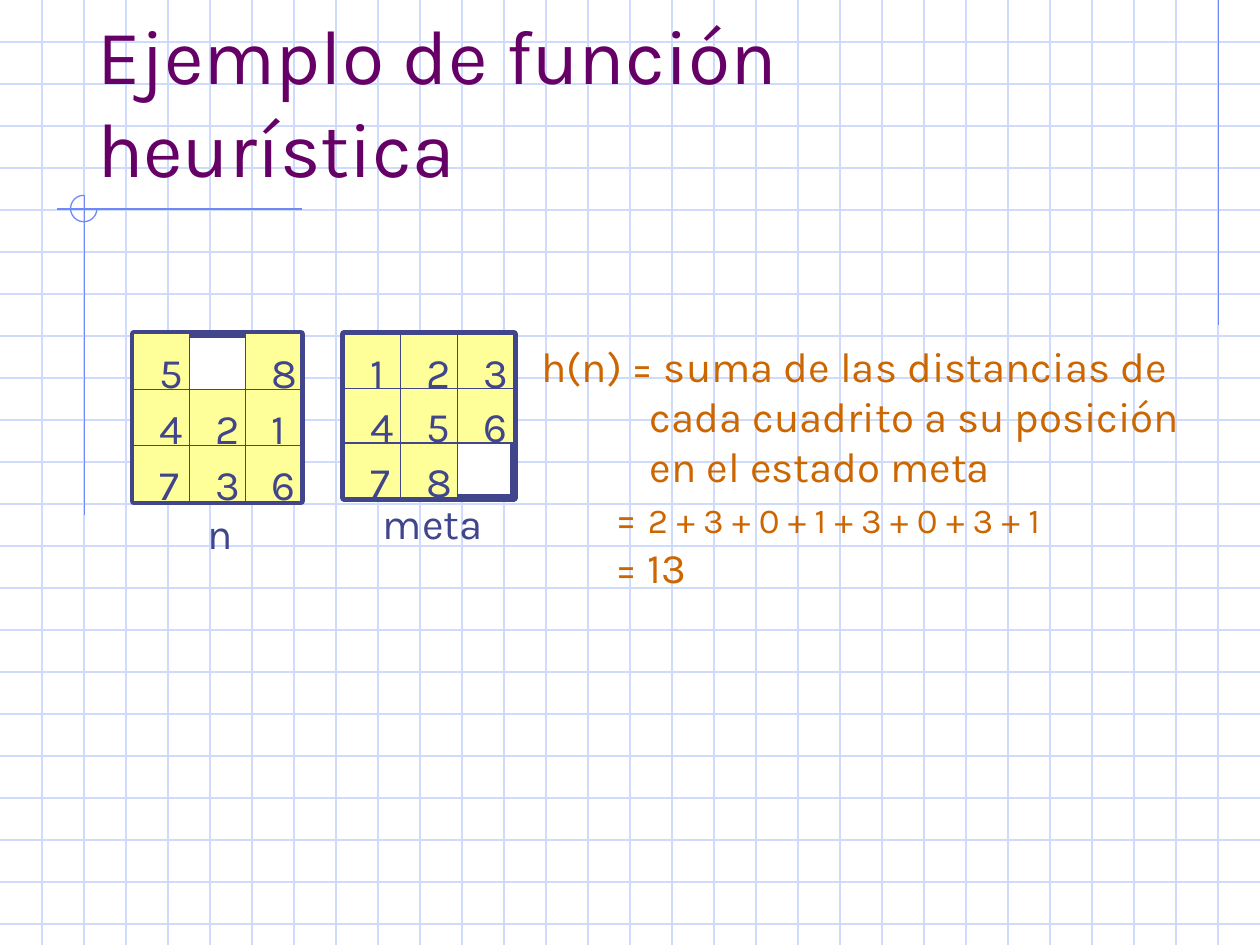
from lxml.etree import SubElement
from pptx import Presentation
from pptx.dml.color import RGBColor
from pptx.enum.shapes import MSO_CONNECTOR, MSO_SHAPE
from pptx.enum.text import MSO_ANCHOR, MSO_AUTO_SIZE, PP_ALIGN
from pptx.oxml.ns import qn
from pptx.util import Inches, Pt

FONT = "Karla"
GRID, ACCENT = "CFDBFD", "6F89F7"
PURPLE, NAVY, ORANGE = "660066", "40458C", "CC6600"
YELLOW, WHITE = "FFFF99", "FFFFFF"


def color(value):
    return RGBColor.from_string(value)


def add_line(shapes, x1, y1, x2, y2, line):
    cn = shapes.add_connector(MSO_CONNECTOR.STRAIGHT, Inches(x1), Inches(y1), Inches(x2), Inches(y2))
    cn.line.color.rgb = color(line)
    cn.line.width = Pt(0.75)
    SubElement(cn._element.spPr, qn("a:effectLst"))


def add_outline(shapes, kind, x, y, w, h, line, weight=0.75, fill=None):
    sp = shapes.add_shape(kind, Inches(x), Inches(y), Inches(w), Inches(h))
    sp.shadow.inherit = False
    if fill:
        sp.fill.solid()
        sp.fill.fore_color.rgb = color(fill)
    else:
        sp.fill.background()
    sp.line.color.rgb = color(line)
    sp.line.width = Pt(weight)
    return sp


def style(r, size, rgb):
    r.font.name = FONT
    r.font.size = Pt(size)
    r.font.color.rgb = color(rgb)


def add_text(shapes, x, y, w, h, lines, rgb):
    """Each line is (left indent in inches, [(text, size), ...])."""
    tf = shapes.add_textbox(Inches(x), Inches(y), Inches(w), Inches(h)).text_frame
    tf.word_wrap = False
    tf.auto_size = MSO_AUTO_SIZE.SHAPE_TO_FIT_TEXT
    for i, (indent, runs) in enumerate(lines):
        p = tf.add_paragraph() if i else tf.paragraphs[0]
        if indent:
            p._p.get_or_add_pPr().set("marL", str(Inches(indent)))
        for text, size in runs:
            r = p.add_run()
            r.text = text
            style(r, size, rgb)


def add_background(shapes):
    group = shapes.add_group_shape().shapes
    for i in range(1, 23):
        add_line(group, 0, i / 3, 10, i / 3, GRID)
    for i in range(1, 30):
        add_line(group, i / 3, 0, i / 3, 7.5, GRID)
    add_line(group, 9.67, 0, 9.67, 2.58, ACCENT)
    add_line(group, 2.4, 1.66, 0.45, 1.66, ACCENT)
    add_line(group, 0.67, 1.55, 0.67, 4.09, ACCENT)
    arc = add_outline(group, MSO_SHAPE.ARC, 0.56, 1.55, 0.21, 0.21, ACCENT)
    arc.adjustments[0] = 0
    arc.adjustments[1] = 162  # 270 degrees


def add_title(slide, text):
    title = slide.shapes.title
    slide.shapes._spTree.append(title._element)  # in front of the grid
    title.left, title.top, title.width, title.height = map(Inches, (0.67, 0.33, 8.5, 1.25))
    tf = title.text_frame
    tf.text = text
    tf.word_wrap = True
    tf.auto_size = MSO_AUTO_SIZE.NONE
    tf.vertical_anchor = MSO_ANCHOR.BOTTOM
    p = tf.paragraphs[0]
    p.alignment = PP_ALIGN.LEFT
    style(p.runs[0], 44, PURPLE)


def add_puzzle(shapes, x, y, w, h, rows):
    """Draw a 3 by 3 board; a space in rows is the empty square."""
    group = shapes.add_group_shape().shapes
    add_outline(group, MSO_SHAPE.RECTANGLE, x, y, w, h, NAVY, 4.5, WHITE)
    tiles = [(x + col * w / 3, y + row * h / 3, digit)
             for row, digits in enumerate(rows)
             for col, digit in enumerate(digits) if digit != " "]
    for left, top, _ in tiles:
        add_outline(group, MSO_SHAPE.RECTANGLE, left, top, w / 3, h / 3, NAVY, fill=YELLOW)
    for left, top, digit in tiles:
        add_text(group, left + 0.11, top + 0.05, 0.39, 0.5, [(0, [(digit, 24)])], NAVY)


def main():
    prs = Presentation()
    prs.slide_width, prs.slide_height = Inches(10), Inches(7.5)
    slide = prs.slides.add_slide(prs.slide_layouts[5])
    shapes = slide.shapes
    add_background(shapes)
    add_title(slide, "Ejemplo de función heurística")
    add_puzzle(shapes, 2.73, 2.65, 1.35, 1.3, ["123", "456", "78 "])
    add_puzzle(shapes, 1.06, 2.65, 1.33, 1.33, ["5 8", "421", "736"])
    add_text(shapes, 1.55, 3.98, 0.4, 0.5, [(0, [("n", 24)])], NAVY)
    add_text(shapes, 2.94, 3.9, 1, 0.5, [(0, [("meta", 24)])], NAVY)
    add_text(shapes, 4.2, 2.65, 5.4, 2.1, [
        (0, [("h(n) = suma de las distancias de", 24)]),
        (0.86, [("cada cuadrito a su posición", 24)]),
        (0.86, [("en el estado meta", 24)]),
        (0.59, [("= ", 24), ("2 + 3 + 0 + 1 + 3 + 0 + 3 + 1", 20)]),
        (0.59, [("= 13", 24)]),
    ], ORANGE)
    prs.save("out.pptx")


if __name__ == "__main__":
    main()
